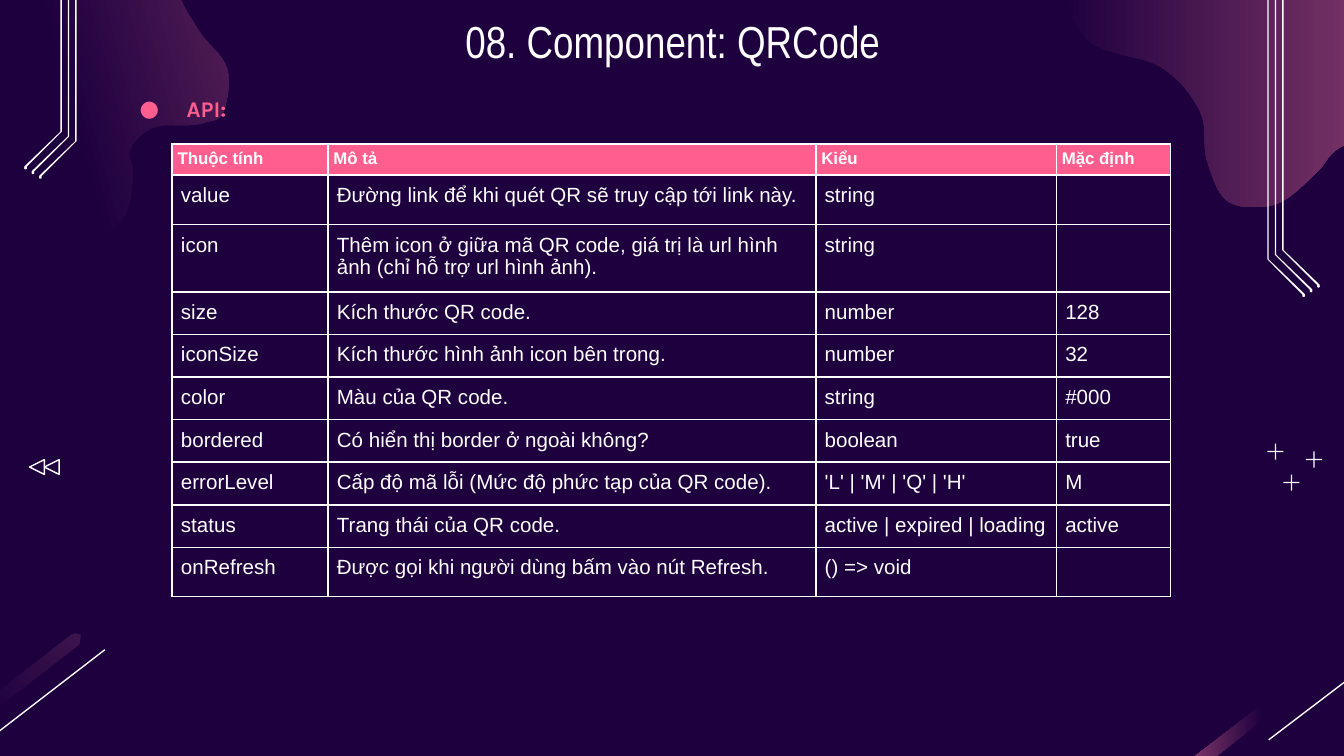
from collections import namedtuple
from lxml.etree import SubElement
from pptx import Presentation
from pptx.dml.color import RGBColor
from pptx.enum.shapes import MSO_CONNECTOR, MSO_SHAPE
from pptx.enum.text import PP_ALIGN
from pptx.oxml import parse_xml
from pptx.oxml.ns import nsdecls, qn
from pptx.util import Inches, Pt

Box = namedtuple("Box", "left top width height")
NIGHT = RGBColor(0x1E, 0x00, 0x3F)
MAUVE = RGBColor(0xA6, 0x4D, 0x79)
PLUM = RGBColor(0x80, 0x38, 0x68)
DUSK = RGBColor(0x3C, 0x14, 0x4C)
PINK = RGBColor(0xFF, 0x5E, 0x8E)
WHITE = RGBColor(0xFF, 0xFF, 0xFF)

WIDTH = 10
HEIGHT = WIDTH * 9 / 16
STRIP = 0.01
COLUMNS = [1.16, 3.63, 1.79, 0.85]
ROWS = [0.2] + [0] * 9
HEADINGS = ["Thuộc tính", "Mô tả", "Kiểu", "Mặc định"]
PROPERTIES = [
    ["value", "Đường link để khi quét QR sẽ truy cập tới link này.", "string", ""],
    ["icon", "Thêm icon ở giữa mã QR code, giá trị là url hình ảnh (chỉ hỗ trợ url hình ảnh).", "string", ""],
    ["size", "Kích thước QR code.", "number", "128"],
    ["iconSize", "Kích thước hình ảnh icon bên trong.", "number", "32"],
    ["color", "Màu của QR code.", "string", "#000"],
    ["bordered", "Có hiển thị border ở ngoài không?", "boolean", "true"],
    ["errorLevel", "Cấp độ mã lỗi (Mức độ phức tạp của QR code).", "'L' | 'M' | 'Q' | 'H'", "M"],
    ["status", "Trang thái của QR code.", "active | expired | loading", "active"],
    ["onRefresh", "Được gọi khi người dùng bấm vào nút Refresh.", "() => void", ""],
]
LEFT_BLOB = [
    (0.48, 1.9), (0.9, 1.65), (0.99, 1.31), (0.97, 1.11), (1.14, 0.95), (1.42, 0.93), (1.53, 0.91), (1.66, 0.84),
    (1.69, 0.51), (1.48, 0.23), (1.33, -0.07), (1.43, -0.31), (1.59, -0.39), (1.9, -0.41), (2.23, -0.42),
    (2.52, -0.58), (2.58, -0.87), (2.33, -1.34), (1.67, -1.51), (0.7, -0.95), (-0.47, -0.82), (-1.28, -0.61),
    (-1.74, -0.3), (-1.94, 0.22), (-1.56, 0.8), (-0.88, 0.99), (-0.46, 1.06), (-0.13, 1.33), (-0.03, 1.66),
]
RIGHT_BLOB = [
    (11.25, 0.38), (11.05, -0.35), (10.58, -0.77), (9.89, -0.84), (9.29, -1.13), (8.97, -1.41), (8.52, -1.43),
    (8.19, -1.29), (7.93, -0.78), (7.89, -0.38), (7.9, -0.18), (8.09, 0.3), (8.64, 0.5), (8.93, 0.83),
    (8.98, 1.19), (9.14, 1.5), (9.49, 1.52), (9.78, 1.3), (9.95, 1.11), (10.18, 1.06), (10.52, 1.38), (11.17, 0.88),
]
PILL = [(1.44, 0), (1.48, 0.01), (1.47, 0.08), (0.07, 1.17), (0, 1.16), (0.01, 1.09), (1.41, 0.01)]


def inches(*lengths):
    """Turn lengths in inches into slide units."""
    return [Inches(length) for length in lengths]


def smooth_curve(anchors, steps=8):
    """Return points on a closed smooth curve through the anchors."""
    curve = []
    for index, start in enumerate(anchors):
        before, end, after = (anchors[(index + shift) % len(anchors)] for shift in (-1, 1, 2))
        for t in (step / steps for step in range(steps)):
            curve.append(tuple(
                b + t * (c - a + t * (2 * a - 5 * b + 4 * c - d + t * (3 * (b - c) + d - a))) / 2
                for a, b, c, d in zip(before, start, end, after)))
    return curve


def add_outline(page, box, points):
    """Draw a closed white outline with points offset from the box corner."""
    corners = [inches(box.left + x, box.top + y) for x, y in points]
    builder = page.shapes.build_freeform(*corners[0], scale=1)
    builder.add_line_segments(corners[1:], close=True)
    return paint(builder.convert_to_shape())


def paint(shape, filled=True):
    """Make a shape plain white, either filled or outlined."""
    shape.shadow.inherit = False
    if filled:
        shape.fill.solid()
        shape.fill.fore_color.rgb = WHITE
        shape.line.fill.background()
    else:
        shape.fill.background()
        shape.line.color.rgb, shape.line.width = WHITE, Pt(0.75)
    return shape


def add_glow(page, box, points, angle, start=0.5, color=MAUVE):
    """Draw an outline that fades from the background to a colour."""
    fill = add_outline(page, box, points).fill
    fill.gradient()
    fill.gradient_angle = angle
    for stop, position, shade in zip(fill.gradient_stops, (start, 1), (NIGHT, color)):
        stop.position, stop.color.rgb = position, shade


def add_streak(page, box, angle, color):
    """Place a glowing pill and a slanted line in the box."""
    add_glow(page, box, PILL, angle, color=color)
    line = page.shapes.add_connector(MSO_CONNECTOR.STRAIGHT, *inches(
        box.left + box.width, box.top + 0.12, box.left + 0.79, box.top + box.height))
    line.line.color.rgb, line.line.width = WHITE, Pt(0.75)
    SubElement(line._element.spPr, qn("a:effectLst"))


def add_tracks(page, box, side):
    """Place three bent tracks with end dots, turning to the given side."""
    for index in range(3):
        x, bend = box.left - side * 0.055 * index, box.height + 0.035 * index
        points = [(0, 0), (STRIP, 0), (STRIP, bend), (0.28, bend + 0.26), (0.27, bend + 0.27), (0, bend)]
        add_outline(page, Box(x, box.top, 0, 0), [(side * across, down) for across, down in points])
        paint(page.shapes.add_shape(MSO_SHAPE.OVAL, *inches(
            x + side * 0.27 - 0.01, box.top + bend + 0.26, 0.02, 0.02)))


def add_pluses(page, box):
    """Place three thin plus signs in the box."""
    for across, down in ((0, 0), (0.7, 0.17), (0.29, 0.66)):
        x, y = box.left + across * box.width, box.top + down * box.height
        for width, height in ((0.12, STRIP), (STRIP, 0.12)):
            paint(page.shapes.add_shape(MSO_SHAPE.RECTANGLE, *inches(
                x + (0.12 - width) / 2, y + (0.12 - height) / 2, width, height)))


def add_rewind(page, box):
    """Place two triangles that point left, side by side."""
    for index in range(2):
        triangle = paint(page.shapes.add_shape(MSO_SHAPE.ISOSCELES_TRIANGLE, *inches(
            box.left + index * box.width / 2, box.top, box.width / 2, box.height)), filled=False)
        triangle.rotation = 270


def write(frame, text, size, font="Arial", color=WHITE, bold=False, align=PP_ALIGN.LEFT, spacing=1.0, bullet=False):
    """Write one formatted paragraph into a text frame."""
    para = frame.paragraphs[0]
    para.alignment, para.line_spacing, frame.word_wrap = align, spacing, True
    if bullet:
        settings = para._p.get_or_add_pPr()
        settings.set("marL", str(Inches(0.5)))
        settings.set("indent", str(Inches(-0.35)))
        SubElement(SubElement(settings, qn("a:buClr")), qn("a:srgbClr")).set("val", str(color))
        SubElement(settings, qn("a:buFont")).set("typeface", font)
        SubElement(settings, qn("a:buChar")).set("char", "●")
    if text:
        span = para.add_run()
        span.text = text
        span.font.size, span.font.name, span.font.bold = Pt(size), font, bold
        span.font.color.rgb = color
    else:
        SubElement(para._p, qn("a:endParaRPr")).set("sz", "1400")


def add_text(page, box, text, size, **style):
    """Place a text box with even insets."""
    frame = page.shapes.add_textbox(*inches(*box)).text_frame
    frame.margin_left = frame.margin_right = frame.margin_top = frame.margin_bottom = Inches(0.1)
    write(frame, text, size, **style)


def format_cell(cell, text, heading):
    """Fill, border and write one table cell."""
    margin = Pt(3 if heading else 4.8)
    cell.margin_left = cell.margin_right = cell.margin_top = cell.margin_bottom = margin
    write(cell.text_frame, text, 9 if heading else 11, bold=heading)
    if heading:
        cell.fill.solid()
        cell.fill.fore_color.rgb = PINK
    else:
        cell.fill.background()
    for index, edge in enumerate("LRTB"):
        cell._tc.get_or_add_tcPr().insert(index, parse_xml(
            f'<a:ln{edge} {nsdecls("a")} w="{Pt(1)}"><a:solidFill><a:srgbClr val="{WHITE}"/></a:solidFill></a:ln{edge}>'))


def add_property_table(page, box):
    """Place the table of component properties."""
    frame = page.shapes.add_table(len(ROWS), len(COLUMNS), *inches(*box))
    table = frame.table
    table.first_row = table.horz_banding = False
    for column, width in zip(table.columns, COLUMNS):
        column.width = Inches(width)
    for row, height, texts in zip(table.rows, ROWS, [HEADINGS] + PROPERTIES):
        row.height = Inches(height)
        for cell, text in zip(row.cells, texts):
            format_cell(cell, text, texts is HEADINGS)
    frame.height = Inches(box.height)


def add_decoration(page, box):
    """Place the background ornaments around the edges of the box."""
    right, bottom = box.left + box.width, box.top + box.height
    add_glow(page, box, smooth_curve(LEFT_BLOB), 15, color=PLUM)
    add_glow(page, box, smooth_curve(RIGHT_BLOB), 0, start=0)
    add_streak(page, Box(box.left - 0.88, bottom - 0.91, 1.66, 0.79), 45, DUSK)
    add_streak(page, Box(right - 1.35, bottom - 0.91, 1.67, 0.79), 180, MAUVE)
    add_tracks(page, Box(right - 0.46, box.top - 1.19, 0.28, 3.05), 1)
    add_tracks(page, Box(box.left + 0.46, box.top - 2.07, 0.28, 3.05), -1)
    add_pluses(page, Box(right - 0.57, box.top + 3.3, 0.41, 0.35))
    add_rewind(page, Box(box.left + 0.22, box.top + 3.42, 0.22, 0.11))


deck = Presentation()
deck.slide_width, deck.slide_height = inches(WIDTH, HEIGHT)
page = deck.slides.add_slide(deck.slide_layouts[6])
page.background.fill.solid()
page.background.fill.fore_color.rgb = NIGHT
add_decoration(page, Box(0, 0, WIDTH, HEIGHT))
add_text(page, Box(0.79, 0.51, 8.12, 0.48), "API:", 12, font="Karla", color=PINK, bold=True, spacing=1.5, bullet=True)
add_text(page, Box(0.79, 0, 8.43, 0.63), "08. Component: QRCode", 24, font="Arial Narrow", align=PP_ALIGN.CENTER)
add_property_table(page, Box(1.28, 1.07, sum(COLUMNS), 3.42))
deck.save("out.pptx")
